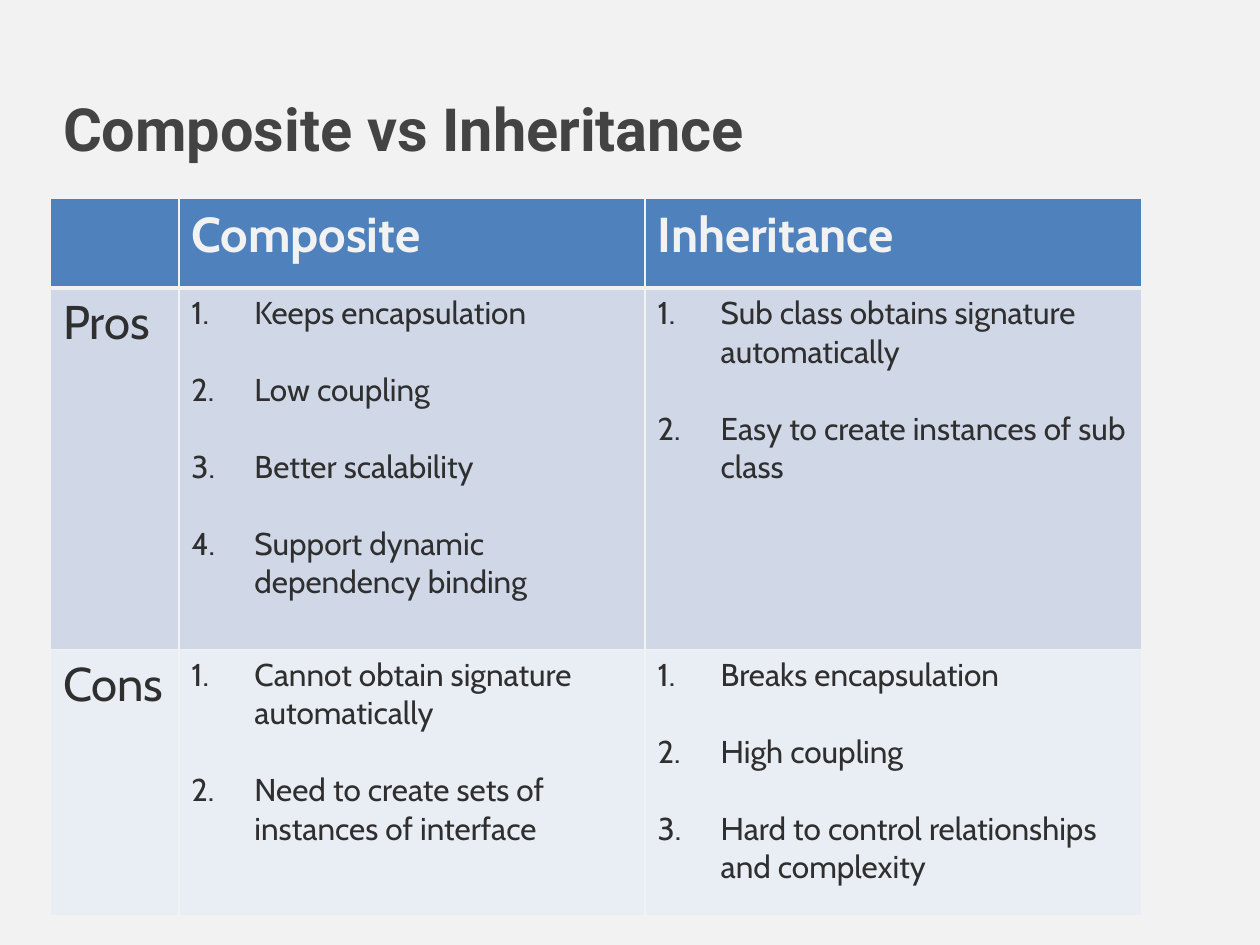
import pptx
import pptx.dml.color
import pptx.enum.text
import pptx.oxml.ns
import pptx.util
import lxml.etree

PAPER, INK, HEADING = "F2F2F2", "2F2F2F", "434343"
COLUMNS = [1.02, 3.7, 3.94]
ROWS = [0.71, 2.87, 2.11]
ROW_FILLS = ["4F81BD", "D0D8E8", "E9EDF4"]
COMPARISON = [
    ["", "Composite", "Inheritance"],
    [
        "Pros",
        ["Keeps encapsulation", "Low coupling", "Better scalability",
         "Support dynamic dependency binding"],
        ["Sub class obtains signature automatically",
         "Easy to create instances of sub class"],
    ],
    [
        "Cons",
        ["Cannot obtain signature automatically",
         "Need to create sets of instances of interface"],
        ["Breaks encapsulation", "High coupling",
         "Hard to control relationships and complexity"],
    ],
]


def rgb(code):
    """Turn a hex string into a colour."""
    return pptx.dml.color.RGBColor.from_string(code)


class ComparisonSlide:
    """Hold the style and the slide, and add each kind of element to it."""

    FORMATS = {
        "title": {"name": "Roboto", "size": pptx.util.Pt(34), "bold": True, "color": HEADING},
        "header": {"name": "Cabin", "size": pptx.util.Pt(28), "bold": True, "color": PAPER},
        "label": {"name": "Cabin", "size": pptx.util.Pt(27), "bold": False, "color": INK},
        "item": {"name": "Cabin", "size": pptx.util.Pt(18), "bold": False, "color": INK},
    }

    def __init__(self, deck):
        """Add a title-only slide with a plain background."""
        self.width, self.height = deck.slide_width, deck.slide_height
        self.slide = deck.slides.add_slide(deck.slide_layouts[5])
        self.slide.background.fill.solid()
        self.slide.background.fill.fore_color.rgb = rgb(PAPER)

    def box(self, left, top, width, height):
        """Turn shares of the slide into lengths."""
        return (int(left * self.width), int(top * self.height),
                int(width * self.width), int(height * self.height))

    def add_text(self, paragraph, text, role):
        """Put text in a paragraph in the format of its role."""
        paragraph.alignment = pptx.enum.text.PP_ALIGN.LEFT
        run = paragraph.add_run()
        run.text = text
        for key, value in self.FORMATS[role].items():
            if key == "color":
                run.font.color.rgb = rgb(value)
            else:
                setattr(run.font, key, value)

    def title(self, text, *shares):
        """Place and fill the title placeholder."""
        heading = self.slide.shapes.title
        for key, value in zip(("left", "top", "width", "height"), self.box(*shares)):
            setattr(heading, key, value)
        heading.text_frame.vertical_anchor = pptx.enum.text.MSO_ANCHOR.MIDDLE
        self.add_text(heading.text_frame.paragraphs[0], text, "title")

    def numbered(self, frame, items):
        """Fill a text frame with a numbered list, a line apart."""
        for index, item in enumerate(items):
            paragraph = frame.add_paragraph() if index else frame.paragraphs[0]
            paragraph.space_before = pptx.util.Pt(22 if index else 0)
            self.add_text(paragraph, item, "item")
            properties = paragraph._p.get_or_add_pPr()
            for key, inches in {"marL": 0.5, "indent": -0.5}.items():
                properties.set(key, str(pptx.util.Inches(inches)))
            numbering = lxml.etree.SubElement(properties, pptx.oxml.ns.qn("a:buAutoNum"))
            numbering.set("type", "arabicPeriod")

    def borders(self, cell, weights):
        """Draw the cell's edges in the background colour."""
        properties = cell._tc.get_or_add_tcPr()
        for index, (edge, weight) in enumerate(weights.items()):
            line = lxml.etree.Element(pptx.oxml.ns.qn("a:" + edge), w=str(pptx.util.Pt(weight)))
            fill = lxml.etree.SubElement(line, pptx.oxml.ns.qn("a:solidFill"))
            lxml.etree.SubElement(fill, pptx.oxml.ns.qn("a:srgbClr"), val=PAPER)
            properties.insert(index, line)

    def table(self, rows, *shares):
        """Add the comparison table with a heavier line under its header."""
        table = self.slide.shapes.add_table(len(ROWS), len(COLUMNS), *self.box(*shares)).table
        for column, width in zip(table.columns, COLUMNS):
            column.width = pptx.util.Inches(width)
        for r, (row, contents) in enumerate(zip(table.rows, rows)):
            row.height = pptx.util.Inches(ROWS[r])
            for cell, content in zip(row.cells, contents):
                cell.fill.solid()
                cell.fill.fore_color.rgb = rgb(ROW_FILLS[r])
                self.borders(cell, {"lnL": 1, "lnR": 1, "lnT": 3 if r == 1 else 1,
                                    "lnB": 3 if r == 0 else 1})
                if isinstance(content, list):
                    self.numbered(cell.text_frame, content)
                elif content:
                    self.add_text(cell.text_frame.paragraphs[0], content,
                                  "label" if r else "header")


def main():
    """Build and save the slide."""
    deck = pptx.Presentation()
    deck.slide_width, deck.slide_height = pptx.util.Inches(10), pptx.util.Inches(7.5)
    page = ComparisonSlide(deck)
    page.title("Composite vs Inheritance", 0.04, 0.06, 0.81, 0.15)
    page.table(COMPARISON, 0.04, 0.21, 0.87, 0.76)
    deck.save("out.pptx")


if __name__ == "__main__":
    main()
